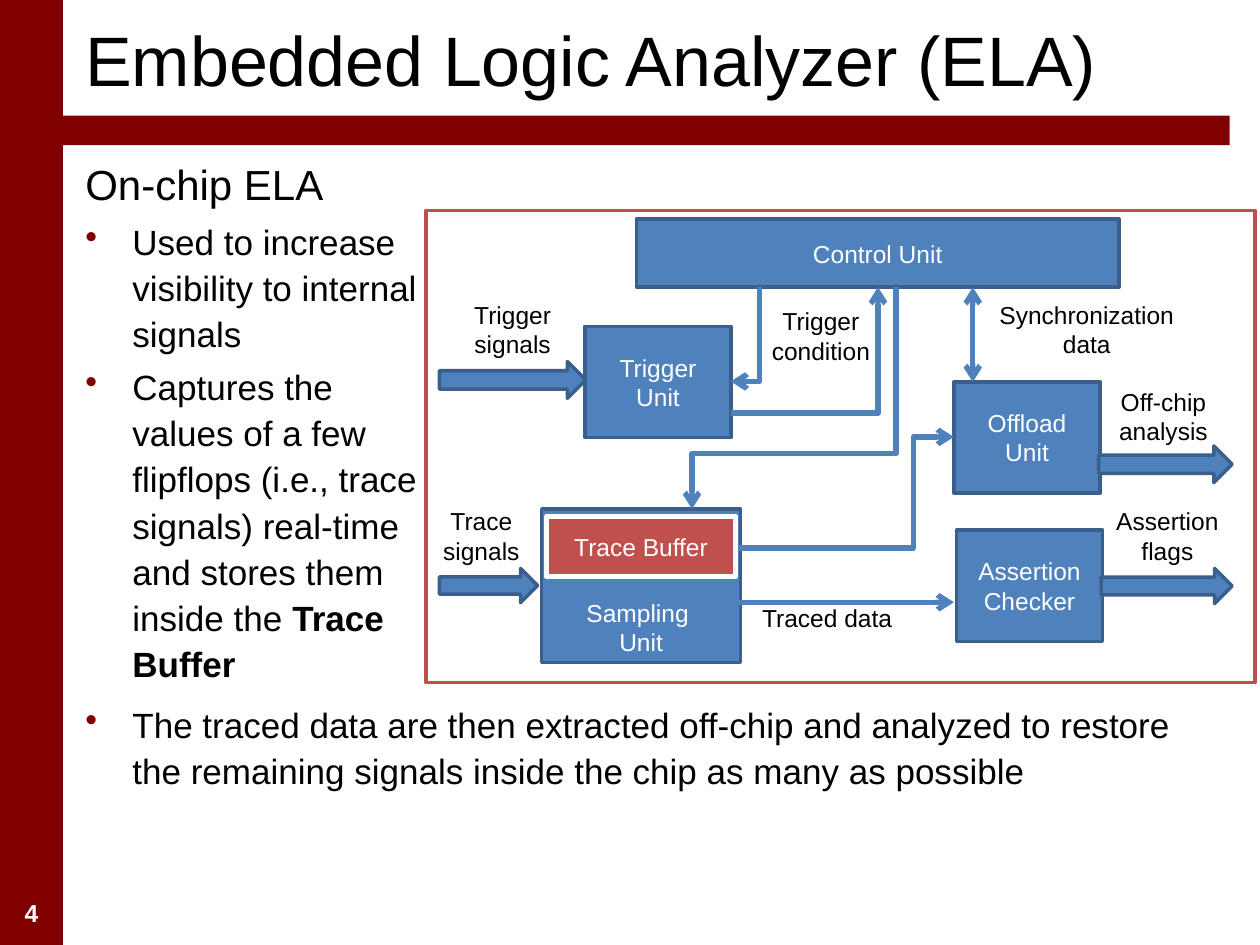
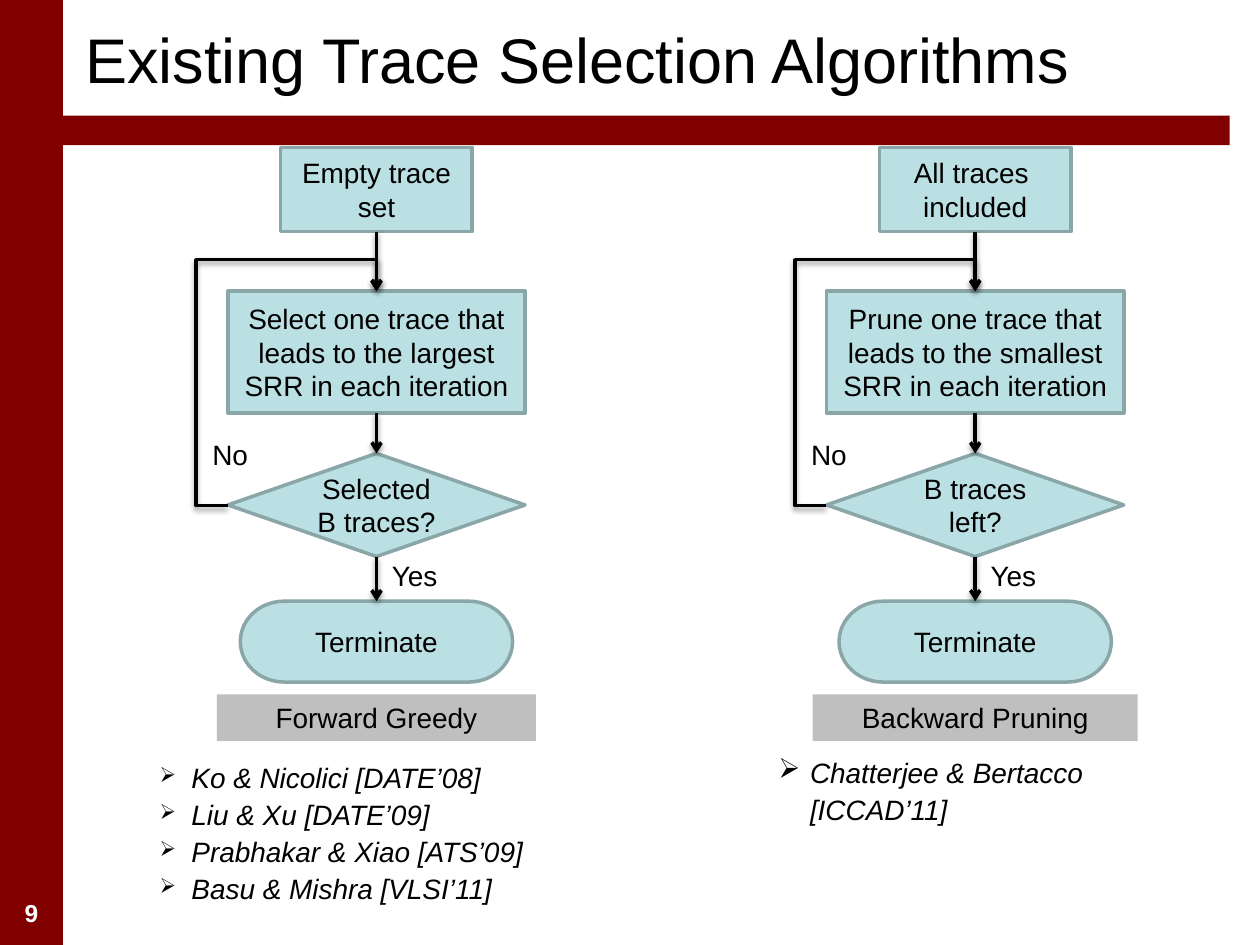
import pptx
import pptx.dml.color
import pptx.enum.shapes
import pptx.enum.text
import pptx.oxml
import pptx.oxml.ns
import pptx.util
from pptx.util import Cm

SHAPES = pptx.enum.shapes.MSO_SHAPE
CONNECTORS = pptx.enum.shapes.MSO_CONNECTOR
ANCHORS = pptx.enum.text.MSO_ANCHOR
ALIGNS = pptx.enum.text.PP_ALIGN
NAMESPACE = pptx.oxml.ns.nsdecls("a")

FONT = "Arial"
BLACK, WHITE, MAROON = "000000", "FFFFFF", "800000"
BLUE, NAVY, RED = "4F81BD", "3A5F8C", "C0504D"
AQUA, TEAL, GREY = "BBE0E3", "8AA6A8", "BFBFBF"
TOP, LEFT, BOTTOM, RIGHT = range(4)  # connection sites of a box

# Analyzer slide: boxes are (left, top, width, height) in centimetres
ANALYZER_POINTS = [
    "On-chip ELA",
    "Used to increase visibility to internal signals",
    "Captures the values of a few flipflops (i.e., trace signals) real-time "
    "and stores them inside the **Trace Buffer",
]
ANALYZER_CLOSING = [
    "The traced data are then extracted off-chip and analyzed to restore "
    "the remaining signals inside the chip as many as possible",
]
FRAME = (8.59, 4.24, 16.71, 9.52)
UNITS = {
    "control": (["Control Unit"], (12.83, 4.42, 9.73, 1.37)),
    "trigger": (["Trigger Unit"], (11.79, 6.58, 2.95, 2.24)),
    "sampling": (["Sampling ", "Unit"], (10.92, 10.26, 4.01, 3.1)),
    "offload": (["Offload Unit"], (19.23, 7.7, 2.95, 2.24)),
    "assertion": (["Assertion Checker"], (19.28, 10.69, 2.95, 2.24)),
}
TRACE_BUFFER = (["Trace Buffer"], (11.02, 10.41, 3.81, 1.22))
BLOCK_ARROWS = [
    (8.86, 7.29, 2.95, 0.74),
    (8.86, 11.46, 1.98, 0.69),
    (22.15, 8.99, 2.69, 0.74),
    (22.2, 11.46, 2.64, 0.71),
]
SIGNAL_LABELS = [
    ("Trigger signals", (9.09, 5.92, 2.49, 1.3)),
    ("Trigger condition", (14.96, 6.05, 3.18, 1.3)),
    ("Traced data", (14.91, 12.04, 3.53, 0.76)),
    ("Off-chip analysis", (21.69, 7.67, 3.53, 1.3)),
    ("Assertion flags", (21.77, 10.08, 3.53, 1.3)),
    ("Synchronization data", (19.56, 5.92, 4.7, 1.3)),
    ("Trace signals", (8.46, 10.08, 2.49, 1.3)),
]
# (box, preset, rotation, flip, adjustments, unit and site at the end)
SIGNAL_ELBOWS = [
    ((13.77, 5.97, 4.47, 4.11), "bentConnector3", 90, None, [75000], None),
    ((14.07, 6.45, 1.9, 0.58), "bentConnector2", 90, None, [], ("trigger", RIGHT)),
    ((14.73, 8.81, 4.5, 2.24), "bentConnector3", 0, "flipV", [81800], ("offload", LEFT)),
    ((14.73, 5.79, 2.97, 2.54), "bentConnector2", 0, "flipV", [], ("control", BOTTOM)),
]
SYNCHRONIZATION = (19.61, 5.79, 19.61, 7.7)
TRACED_DATA = (14.81, 12.14, 19.23, 12.14)

# Algorithms slide
FLOWCHARTS = [
    {
        "center": 7.59,
        "start": ["Empty trace set"],
        "step": ["Select one trace that leads to the largest SRR in each iteration"],
        "test": ["Selected B traces?"],
        "name": "Forward Greedy",
        "name_width": 6.43,
        "papers": [
            "Ko & Nicolici [DATE’08]",
            "Liu & Xu [DATE’09]",
            "Prabhakar & Xiao [ATS’09]",
            "Basu & Mishra [VLSI’11]",
        ],
        "papers_box": (1.07, 15.14, 10.59, 3.28),
        "bullet_size": 75,
    },
    {
        "center": 19.66,
        "start": ["All traces ", "included"],
        "step": ["Prune one trace that leads to the smallest SRR in each iteration"],
        "test": ["B traces left?"],
        "name": "Backward Pruning",
        "name_width": 6.55,
        "papers": ["Chatterjee & Bertacco [ICCAD’11]"],
        "papers_box": (13.54, 15.04, 10.59, 2.51),
        "bullet_size": 100,
    },
]
# kind, top, width, height of the four stages
STAGES = {
    "start": (SHAPES.FLOWCHART_PROCESS, 2.97, 3.86, 1.7),
    "step": (SHAPES.FLOWCHART_PROCESS, 5.87, 5.99, 2.46),
    "test": (SHAPES.FLOWCHART_DECISION, 9.14, 5.99, 2.08),
    "end": (SHAPES.FLOWCHART_TERMINATOR, 12.12, 5.49, 1.63),
}


def color(value):
    return pptx.dml.color.RGBColor.from_string(value)


def lengths(values):
    return [Cm(value) for value in values]


def add_xml(parent, xml):
    """Append an element of the drawing namespace, given without its prefix."""
    parent.append(pptx.oxml.parse_xml(xml.replace(">", f" {NAMESPACE}>", 1)
                                      if "/>" not in xml.split(">")[0] + ">"
                                      else xml.replace("/>", f" {NAMESPACE}/>", 1)))


def write(shape, lines, size, fill=BLACK, align=ALIGNS.LEFT, anchor=ANCHORS.TOP,
          bold=False, italic=False):
    """Write one paragraph per line; text after ** is bold."""
    frame = shape.text_frame
    frame.text = "\n".join(line.replace("**", "") for line in lines)
    frame.word_wrap = True
    frame.vertical_anchor = anchor
    for line, paragraph in zip(lines, frame.paragraphs):
        paragraph.alignment = align
        plain, mark, strong = line.partition("**")
        if mark:
            paragraph.text = plain
            paragraph.add_run().text = strong
        for index, run in enumerate(paragraph.runs):
            run.font.name = FONT
            run.font.size = pptx.util.Pt(size)
            run.font.color.rgb = color(fill)
            run.font.bold = bold or index > 0
            run.font.italic = italic
    return frame.paragraphs


def add_text(slide, box, lines, size, **style):
    return write(slide.shapes.add_textbox(*lengths(box)), lines, size, **style)


def add_box(slide, box, fill, outline=None, width=2, kind=SHAPES.RECTANGLE):
    shape = slide.shapes.add_shape(kind, *lengths(box))
    shape.shadow.inherit = False
    shape.fill.solid()
    shape.fill.fore_color.rgb = color(fill)
    if outline:
        shape.line.color.rgb = color(outline)
        shape.line.width = pptx.util.Pt(width)
    else:
        shape.line.fill.background()
    return shape


def set_bullet(paragraph, character, indent, hanging, size=100, fill=BLACK):
    properties = paragraph._p.get_or_add_pPr()
    properties.set("marL", str(Cm(indent)))
    properties.set("indent", str(-Cm(hanging)))
    add_xml(properties, f'<a:buClr><a:srgbClr val="{fill}"/></a:buClr>')
    add_xml(properties, f'<a:buSzPct val="{size * 1000}"/>')
    add_xml(properties, f'<a:buChar char="{character}"/>')


def style_connector(connector, fill, width, both_ends=False, shadow=False):
    connector.line.color.rgb = color(fill)
    connector.line.width = pptx.util.Pt(width)
    line = connector.line._get_or_add_ln()
    for end in ["headEnd", "tailEnd"] if both_ends else ["tailEnd"]:
        add_xml(line, f'<a:{end} type="arrow"/>')
    cast = (
        '<a:outerShdw blurRad="40000" dist="20000" dir="5400000" rotWithShape="0">'
        f'<a:srgbClr val="{BLACK}"><a:alpha val="38000"/></a:srgbClr></a:outerShdw>'
    ) if shadow else ""
    add_xml(connector._element.spPr, f"<a:effectLst>{cast}</a:effectLst>")


def add_arrow(slide, ends, fill, width, **style):
    connector = slide.shapes.add_connector(CONNECTORS.STRAIGHT, *lengths(ends))
    style_connector(connector, fill, width, **style)


def add_elbow(slide, box, preset, rotation, flip, adjustments, fill, width,
              begin=None, end=None, **style):
    """Add an elbow arrow; begin and end are (shape, site) pairs to attach to."""
    connector = slide.shapes.add_connector(CONNECTORS.ELBOW, 0, 0, 0, 0)
    if begin:
        connector.begin_connect(*begin)
    if end:
        connector.end_connect(*end)
    connector.left, connector.top, connector.width, connector.height = lengths(box)
    properties = connector._element.spPr
    for name in ("flipH", "flipV"):
        properties.xfrm.set(name, str(int(name == flip)))
    properties.xfrm.set("rot", str(rotation * 60000))
    geometry = properties.find(pptx.oxml.ns.qn("a:prstGeom"))
    geometry.set("prst", preset)
    guides = geometry.find(pptx.oxml.ns.qn("a:avLst"))
    for number, value in enumerate(adjustments, 1):
        add_xml(guides, f'<a:gd name="adj{number}" fmla="val {value}"/>')
    style_connector(connector, fill, width, **style)


def add_slide(presentation, number, title, title_size):
    """Add a slide with the bands, the number and the title all slides share."""
    slide = presentation.slides.add_slide(presentation.slide_layouts[6])
    add_box(slide, (0, 0, 1.27, 19.05), MAROON)
    add_text(slide, (0, 17.98, 1.27, 0.84), [str(number)], 14, fill=WHITE,
             align=ALIGNS.CENTER, bold=True)
    add_box(slide, (1.07, 2.33, 23.72, 0.6), MAROON)
    add_text(slide, (1.47, -0.2, 23.29, 2.74), [title], title_size,
             anchor=ANCHORS.MIDDLE)
    return slide


def add_analyzer_diagram(slide):
    add_box(slide, FRAME, WHITE, RED)
    units = {}
    label = dict(size=14, align=ALIGNS.CENTER)
    for name, (lines, box) in UNITS.items():
        units[name] = add_box(slide, box, BLUE, NAVY)
        anchor = ANCHORS.BOTTOM if name == "sampling" else ANCHORS.MIDDLE
        write(units[name], lines, fill=WHITE, anchor=anchor, **label)
    for *route, target in SIGNAL_ELBOWS:
        end = target and (units[target[0]], target[1])
        add_elbow(slide, *route, BLUE, 3, end=end)
    add_arrow(slide, SYNCHRONIZATION, BLUE, 3, both_ends=True)
    add_arrow(slide, TRACED_DATA, BLUE, 3)
    for box in BLOCK_ARROWS:
        add_box(slide, box, BLUE, NAVY, kind=SHAPES.RIGHT_ARROW)
    lines, box = TRACE_BUFFER
    write(add_box(slide, box, RED, WHITE, 3), lines, fill=WHITE,
          anchor=ANCHORS.MIDDLE, **label)
    for text, box in SIGNAL_LABELS:
        add_text(slide, box, [text], **label)


def add_analyzer_text(slide):
    points = add_text(slide, (1.47, 2.97, 7.21, 4.65), ANALYZER_POINTS, 20)
    points[0].runs[0].font.size = pptx.util.Pt(24)
    closing = add_text(slide, (1.47, 13.97, 22.78, 4.65), ANALYZER_CLOSING, 20)
    for paragraph in points + closing:
        paragraph.line_spacing = 1.1
    for paragraph in points[1:]:
        paragraph.space_before = pptx.util.Pt(4)
    for paragraph in points[1:] + closing:
        set_bullet(paragraph, "•", 0.95, 0.95, fill=MAROON)


def add_flowchart(slide, chart):
    center = chart["center"]
    texts = {**chart, "end": ["Terminate"]}
    stages = {}
    for name, (kind, top, width, height) in STAGES.items():
        box = (center - width / 2, top, width, height)
        stages[name] = add_box(slide, box, AQUA, TEAL, kind=kind)
        write(stages[name], texts[name], 16, align=ALIGNS.CENTER,
              anchor=ANCHORS.MIDDLE)
    rows = list(STAGES.values())
    for (_, top, _, height), (_, next_top, _, _) in zip(rows, rows[1:]):
        add_arrow(slide, (center, top + height, center, next_top), BLACK, 2,
                  shadow=True)
    add_elbow(slide, (center - 3, 5.87, 3, 4.32), "bentConnector4", 180, "flipH",
              [-21200, 114700], BLACK, 2, begin=(stages["test"], LEFT),
              end=(stages["step"], TOP), shadow=True)
    add_text(slide, (center + 0.06, 11.13, 1.63, 0.94), ["Yes"], 16)
    add_text(slide, (center - 3.56, 8.69, 1.63, 0.94), ["No"], 16)
    width = chart["name_width"]
    name_box = add_box(slide, (center - width / 2, 14, width, 0.94), GREY)
    write(name_box, [chart["name"]], 16, align=ALIGNS.CENTER)
    papers = add_text(slide, chart["papers_box"], chart["papers"], 16, italic=True)
    for paragraph in papers:
        paragraph.line_spacing = 1.1
        set_bullet(paragraph, "➢", 2.54, 0.64, chart["bullet_size"])


def main():
    presentation = pptx.Presentation()
    presentation.slide_width, presentation.slide_height = Cm(25.4), Cm(19.05)
    analyzer = add_slide(presentation, 4, "Embedded Logic Analyzer (ELA)", 40)
    add_analyzer_diagram(analyzer)
    add_analyzer_text(analyzer)
    algorithms = add_slide(presentation, 9, "Existing Trace Selection Algorithms", 36)
    for chart in FLOWCHARTS:
        add_flowchart(algorithms, chart)
    presentation.save("out.pptx")


if __name__ == "__main__":
    main()
